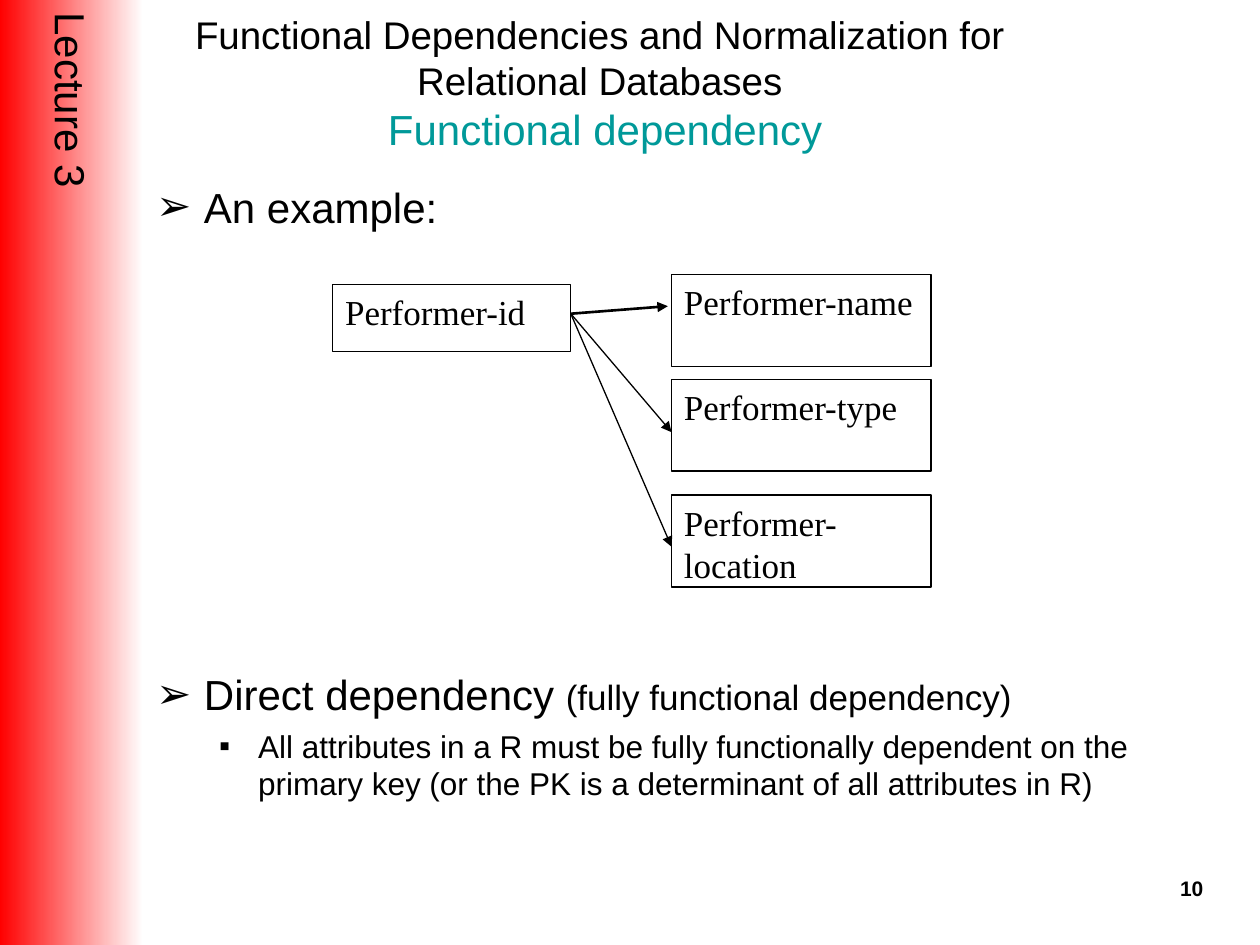
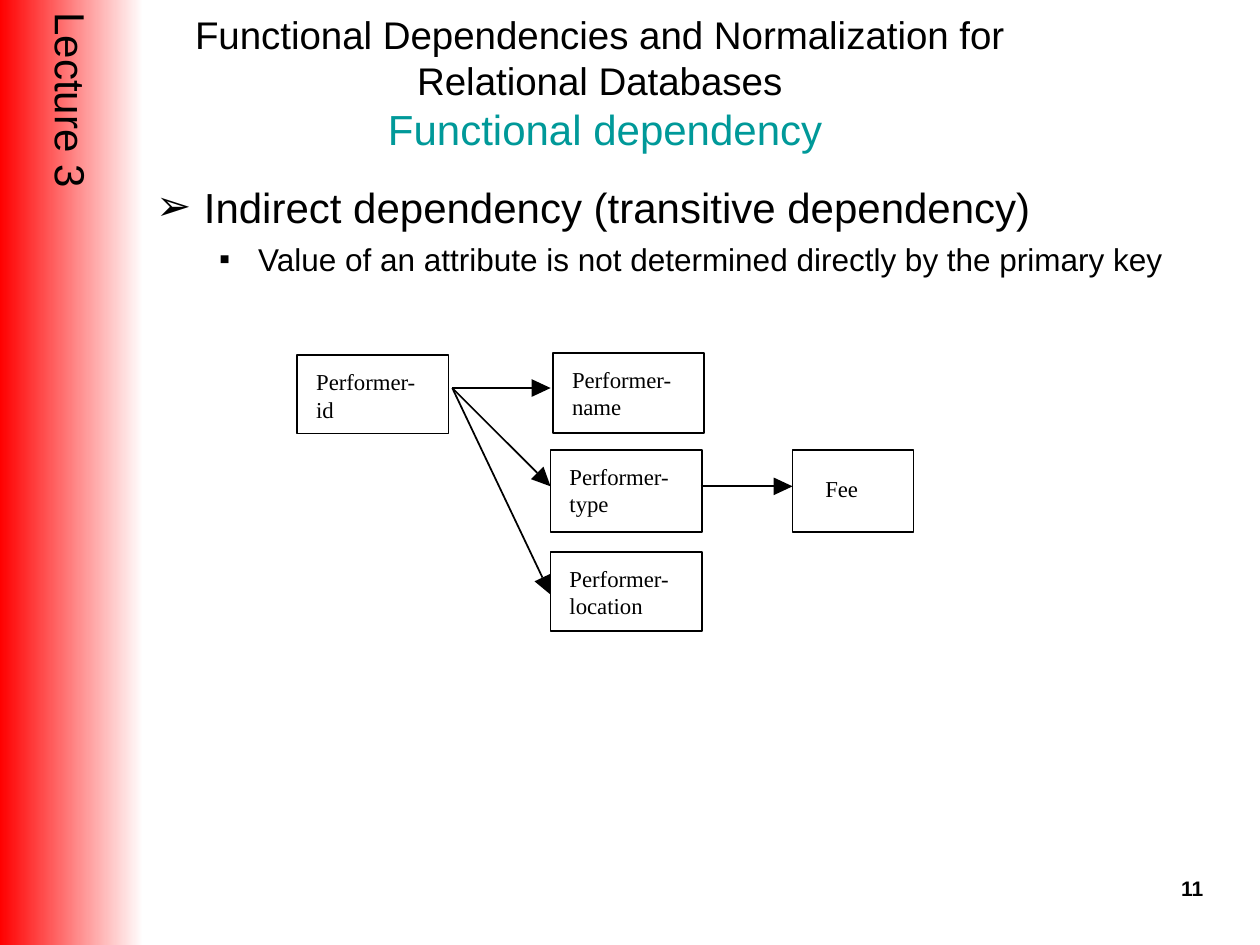
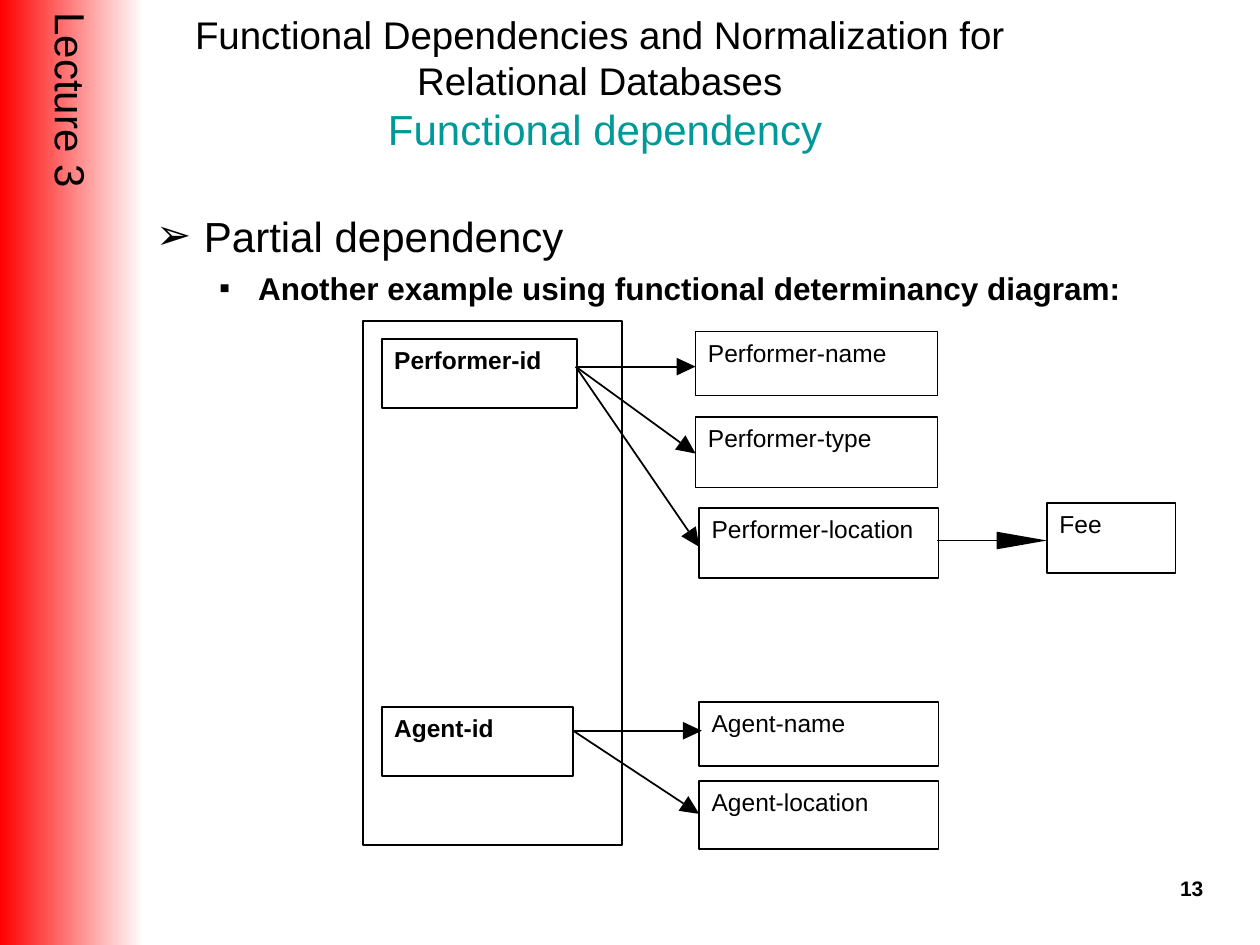
import math
from collections import namedtuple
from dataclasses import dataclass

import pptx
import pptx.dml.color
import pptx.enum.dml
import pptx.enum.shapes
import pptx.enum.text
import pptx.oxml.ns
import pptx.util
from lxml import etree

Inches = pptx.util.Inches
Pt = pptx.util.Pt
Anchor = pptx.enum.text.MSO_ANCHOR
Align = pptx.enum.text.PP_ALIGN
RECTANGLE = pptx.enum.shapes.MSO_SHAPE.RECTANGLE

Box = namedtuple("Box", "left top width height")
Node = namedtuple("Node", "label box bold inset", defaults=(False, None))
Fan = namedtuple("Fan", "start tips head weight", defaults=(None, None))
Style = namedtuple("Style", "font size weight inset")
Bullet = namedtuple("Bullet", "level runs before")


@dataclass(frozen=True)
class Theme:
    """Colours, fonts and type sizes shared by all slides."""
    black: str = "000000"
    white: str = "FFFFFF"
    red: str = "FF0000"
    teal: str = "009999"
    sans: str = "Arial"
    serif: str = "Times New Roman"
    course: int = 22
    topic: int = 24
    point: int = 24
    aside: int = 20
    detail: int = 18
    page: int = 12


THEME = Theme()
BAND = Box(0, 0, 1.14, 7.5)
HEADING = Box(1.14, 0, 7.24, 1.31)
BODY = Box(1.14, 1.39, 8.51, 5.43)
PAGE = Box(9.02, 6.9, 0.63, 0.52)
INSET = (0.1, 0.05)
LEVELS = [("\u27a2", 0.38, -0.38), ("\u25aa", 0.81, -0.31)]
HEAD_LENGTH, HEAD_WIDTH = 0.15, 0.14


def rgb(value):
    """Turn a hex string into a colour."""
    return pptx.dml.color.RGBColor.from_string(value)


def emu(box):
    """Convert a box or point in inches to lengths."""
    return [Inches(value) for value in box]


def add_run(paragraph, text, size, font=THEME.sans, color=THEME.black, bold=False):
    """Append one formatted run to a paragraph."""
    run = paragraph.add_run()
    run.text = text
    run.font.name = font
    run.font.size = Pt(size)
    run.font.bold = bold
    run.font.color.rgb = rgb(color)


def set_frame(frame, inset=INSET, anchor=Anchor.TOP, wrap=True):
    """Set the insets, anchor and wrapping of a text frame."""
    frame.margin_left = frame.margin_right = Inches(inset[0])
    frame.margin_top = frame.margin_bottom = Inches(inset[1])
    frame.vertical_anchor = anchor
    frame.word_wrap = wrap
    frame.auto_size = pptx.enum.text.MSO_AUTO_SIZE.NONE


def draw_band(slide, box, label):
    """Draw the gradient side band with its vertical label."""
    band = slide.shapes.add_shape(RECTANGLE, *emu(box))
    band.shadow.inherit = False
    band.line.fill.background()
    band.fill.gradient()
    band.fill.gradient_angle = 180
    for stop, color, position in zip(band.fill.gradient_stops, (THEME.white, THEME.red), (0, 1)):
        stop.color.rgb = rgb(color)
        stop.position = position
    frame = band.text_frame
    set_frame(frame, (0.05, 0.1), Anchor.MIDDLE, False)
    frame._txBody.bodyPr.set("vert", "eaVert")
    frame.paragraphs[0].alignment = Align.CENTER
    add_run(frame.paragraphs[0], label, THEME.topic)


def draw_heading(slide, box, course, topic):
    """Place the course title and the topic in the title placeholder."""
    heading = slide.shapes.title
    heading.left, heading.top, heading.width, heading.height = emu(box)
    set_frame(heading.text_frame, anchor=Anchor.MIDDLE)
    line = heading.text_frame.paragraphs[0]
    line.alignment = Align.CENTER
    add_run(line, course, THEME.course)
    line.add_line_break()
    add_run(line, " ", THEME.course)
    add_run(line, topic, THEME.topic, color=THEME.teal)


def draw_page_number(slide, box, number):
    """Write the page number at the lower right."""
    frame = slide.shapes.add_textbox(*emu(box)).text_frame
    set_frame(frame)
    frame.paragraphs[0].alignment = Align.RIGHT
    add_run(frame.paragraphs[0], str(number), THEME.page, bold=True)


def draw_bullets(slide, box, bullets):
    """Write the bulleted points with hanging indents."""
    frame = slide.shapes.add_textbox(*emu(box)).text_frame
    set_frame(frame)
    for index, bullet in enumerate(bullets):
        line = frame.add_paragraph() if index else frame.paragraphs[0]
        line.level = bullet.level
        line.space_before = Pt(bullet.before)
        mark, margin, indent = LEVELS[bullet.level]
        properties = line._p.get_or_add_pPr()
        properties.set("marL", str(Inches(margin)))
        properties.set("indent", str(Inches(indent)))
        etree.SubElement(properties, pptx.oxml.ns.qn("a:buFont"), typeface=THEME.sans)
        etree.SubElement(properties, pptx.oxml.ns.qn("a:buChar"), char=mark)
        for text, size, bold in bullet.runs:
            add_run(line, text, size, bold=bold)


def draw_node(slide, origin, node, style):
    """Draw one attribute box relative to the diagram origin."""
    x, y, width, height = node.box
    attribute = slide.shapes.add_shape(
        RECTANGLE, *emu((origin[0] + x, origin[1] + y, width, height)))
    attribute.shadow.inherit = False
    attribute.fill.solid()
    attribute.fill.fore_color.rgb = rgb(THEME.white)
    attribute.line.color.rgb = rgb(THEME.black)
    attribute.line.width = Pt(style.weight)
    if node.label:
        set_frame(attribute.text_frame, node.inset or style.inset)
        line = attribute.text_frame.paragraphs[0]
        line.alignment = Align.LEFT
        add_run(line, node.label, style.size, style.font, bold=node.bold)


def draw_line(slide, start, end, weight, arrow):
    """Draw a straight line, with an arrowhead at its end if asked."""
    link = slide.shapes.add_connector(
        pptx.enum.shapes.MSO_CONNECTOR.STRAIGHT, *emu(start), *emu(end))
    link.line.color.rgb = rgb(THEME.black)
    link.line.width = Pt(weight)
    if arrow:
        etree.SubElement(link.line._get_or_add_ln(), pptx.oxml.ns.qn("a:tailEnd"), type="triangle")
    etree.SubElement(link._element.spPr, pptx.oxml.ns.qn("a:effectLst"))


def draw_large_arrow(slide, start, tip, length, weight):
    """Draw a line that ends in a large filled triangle."""
    angle = math.atan2(tip[1] - start[1], tip[0] - start[0])
    along, across = math.cos(angle), math.sin(angle)
    base = (tip[0] - length * along, tip[1] - length * across)
    draw_line(slide, start, base, weight, False)
    half = HEAD_WIDTH / 2
    corners = [(base[0] - side * across, base[1] + side * along) for side in (half, -half)]
    outline = slide.shapes.build_freeform(*emu(corners[0]), scale=1.0)
    outline.add_line_segments([emu(tip), emu(corners[1])], close=True)
    head = outline.convert_to_shape()
    head.shadow.inherit = False
    head.fill.solid()
    head.fill.fore_color.rgb = rgb(THEME.black)
    head.line.fill.background()


def draw_diagram(slide, origin, nodes, fans, style):
    """Draw the dependency diagram from its origin."""
    for node in nodes:
        draw_node(slide, origin, node, style)
    for fan in fans:
        start = (origin[0] + fan.start[0], origin[1] + fan.start[1])
        for x, y in fan.tips:
            tip = (origin[0] + x, origin[1] + y)
            weight = fan.weight or style.weight
            if fan.head:
                draw_large_arrow(slide, start, tip, fan.head, weight)
            else:
                draw_line(slide, start, tip, weight, True)


def add_lecture_slide(deck, number, bullets, body=BODY):
    """Add a slide with the shared band, heading, page number and points."""
    slide = deck.slides.add_slide(deck.slide_layouts.get_by_name("Title Only"))
    draw_band(slide, BAND, "Lecture 3")
    draw_page_number(slide, PAGE, number)
    draw_heading(slide, HEADING,
                 "Functional Dependencies and Normalization for Relational Databases",
                 "Functional dependency")
    draw_bullets(slide, body, bullets)
    return slide


def point(text, aside="", before=6):
    """Describe a first-level point with an optional smaller aside."""
    runs = [(text, THEME.point, False)]
    if aside:
        runs.append((aside, THEME.aside, False))
    return Bullet(0, runs, before)


def detail(text, bold=False):
    """Describe a second-level point."""
    return Bullet(1, [(text, THEME.detail, bold)], 4.5)


def build_direct(deck):
    """Build the slide on direct dependency."""
    slide = add_lecture_slide(deck, 10, [
        point("An example:"),
        point("Direct dependency ", "(fully functional dependency)", before=249.5),
        detail("All attributes in a R must be fully functionally dependent on the "
               "primary key (or the PK is a determinant of all attributes in R)"),
    ])
    nodes = [Node("Performer-id", Box(0, 0.08, 1.89, 0.53))]
    for label, top in (("name", 0), ("type", 0.83), ("location", 1.75)):
        nodes.append(Node(f"Performer-{label}", Box(2.69, top, 2.06, 0.73)))
    key = (1.89, 0.31)
    fans = [Fan(key, [(2.66, 0.25)], weight=1.5), Fan(key, [(2.69, 1.25), (2.69, 2.16)])]
    draw_diagram(slide, (2.64, 2.18), nodes, fans, Style(THEME.serif, 20, 0.74, INSET))


def build_indirect(deck):
    """Build the slide on indirect dependency."""
    slide = add_lecture_slide(deck, 11, [
        point("Indirect dependency (transitive dependency)"),
        detail("Value of an attribute is not determined directly by the primary key"),
    ])
    nodes = [
        Node("Performer-id", Box(0, 0.02, 1.2, 0.62)),
        Node("Performer-name", Box(2.03, 0, 1.2, 0.64)),
        Node("Performer-type", Box(2.01, 0.77, 1.2, 0.65)),
        Node("Performer-location", Box(2.01, 1.58, 1.2, 0.63)),
        Node("Fee", Box(3.93, 0.77, 0.96, 0.65), inset=(0.26, 0.2)),
    ]
    fans = [
        Fan((1.23, 0.28), [(2.01, 0.28), (2.01, 1.06), (2.01, 1.92)], HEAD_LENGTH),
        Fan((3.2, 1.06), [(3.93, 1.06)], HEAD_LENGTH),
    ]
    draw_diagram(slide, (2.36, 2.8), nodes, fans, Style(THEME.serif, 13, 0.99, (0.15, 0.1)))


def build_partial(deck):
    """Build the slide on partial dependency."""
    slide = add_lecture_slide(deck, 13, [
        point("Partial dependency"),
        detail("Another example using functional determinancy diagram:", bold=True),
    ], BODY._replace(top=1.62))
    nodes = [
        Node("", Box(0, 0, 2.06, 4.16)),
        Node("Performer-id", Box(0.15, 0.14, 1.55, 0.55), bold=True),
        Node("Performer-name", Box(2.64, 0.08, 1.92, 0.51)),
        Node("Performer-type", Box(2.64, 0.76, 1.92, 0.56)),
        Node("Performer-location", Box(2.67, 1.48, 1.9, 0.56)),
        Node("Fee", Box(5.43, 1.44, 1.02, 0.56)),
        Node("Agent-id", Box(0.15, 3.06, 1.52, 0.55), bold=True),
        Node("Agent-name", Box(2.67, 3.02, 1.9, 0.51)),
        Node("Agent-location", Box(2.67, 3.65, 1.9, 0.54)),
    ]
    fans = [
        Fan((1.69, 0.36), [(2.64, 0.36), (2.64, 1.05), (2.67, 1.79)], HEAD_LENGTH),
        Fan((4.56, 1.74), [(5.43, 1.74)], 0.4),
        Fan((1.67, 3.25), [(2.69, 3.25), (2.67, 3.91)], HEAD_LENGTH),
    ]
    draw_diagram(slide, (2.88, 2.55), nodes, fans, Style(THEME.sans, 14, 0.99, INSET))


def main():
    """Build the presentation and save it."""
    deck = pptx.Presentation()
    deck.slide_width, deck.slide_height = Inches(10), Inches(7.5)
    for build in (build_direct, build_indirect, build_partial):
        build(deck)
    deck.save("out.pptx")


main()
